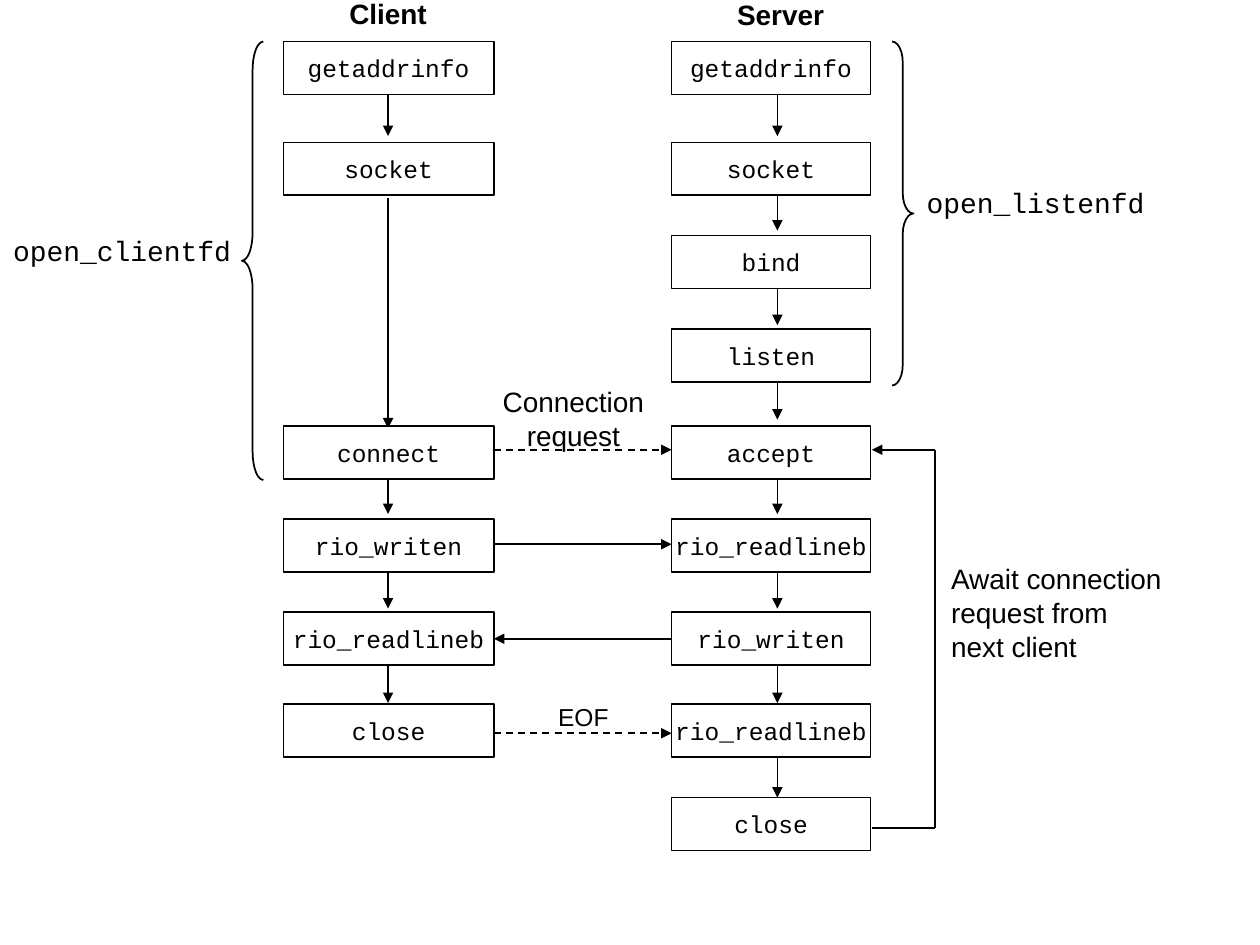
"""Build a slide showing the socket calls of a client and a server."""
from lxml import etree
from pptx import Presentation, util as u
from pptx.dml.color import RGBColor
from pptx.enum import dml, shapes, text
from pptx.oxml.ns import qn

COLORS = {"ink": "000000", "paper": "FFFFFF"}
SANS, MONO = "Arial", "Courier New"
CENTER, LEFT = text.PP_ALIGN.CENTER, text.PP_ALIGN.LEFT

ROW_TOPS = [0.33, 1.13, 1.87, 2.61, 3.38, 4.12, 4.86, 5.59, 6.33]
BOX_HEIGHT = 0.42
ARROW_PITCH, ARROW_LENGTH = 0.75, 0.33
COLUMNS = [
    {"left": 2.25, "width": 1.67, "axis": 3.08, "arrow_rows": [0, 4, 5, 6],
     "calls": {0: "getaddrinfo", 1: "socket", 4: "connect", 5: "rio_writen",
               6: "rio_readlineb", 7: "close"}},
    {"left": 5.33, "width": 1.58, "axis": 6.17, "arrow_rows": range(8),
     "calls": dict(enumerate(["getaddrinfo", "socket", "bind", "listen", "accept",
                              "rio_readlineb", "rio_writen", "rio_readlineb", "close"]))},
]
LINKS = [
    ((3.08, 1.57), (3.08, 3.4), {}),
    ((3.92, 3.57), (5.33, 3.57), {"dashed": True}),
    ((3.92, 4.32), (5.33, 4.32), {}),
    ((5.33, 5.07), (3.92, 5.07), {}),
    ((3.92, 5.82), (5.33, 5.82), {"dashed": True}),
    ((6.92, 6.57), (7.42, 6.57), {"arrow": False}),
    ((7.42, 6.57), (7.42, 3.57), {"arrow": False}),
    ((7.42, 3.57), (6.92, 3.57), {}),
]
BRACES = [
    (shapes.MSO_SHAPE.LEFT_BRACE, (1.92, 0.33, 0.17, 3.48), 1.333),
    (shapes.MSO_SHAPE.RIGHT_BRACE, (7.08, 0.33, 0.17, 2.73), 0.958),
]
LABELS = [
    (["Client"], (2.67, -0.08, 0.82, 0.37), {"bold": True}),
    (["Server"], (5.75, -0.07, 0.89, 0.37), {"bold": True}),
    (["Connection", "request"], (3.89, 3, 1.32, 0.64), {}),
    (["EOF"], (4.33, 5.52, 0.6, 0.33), {"size": 14}),
    (["Await connection", "request from", "next client"],
     (7.45, 4.41, 1.88, 0.9), {"align": LEFT}),
    (["open_listenfd"], (7.25, 1.42, 1.94, 0.37), {"font": MONO}),
    (["open_clientfd"], (0, 1.8, 1.94, 0.37), {"font": MONO}),
]


def color(name):
    return RGBColor.from_string(COLORS[name])


def write(shape, lines, size=16, font=SANS, bold=False, align=CENTER):
    frame = shape.text_frame
    frame.word_wrap = False
    frame.vertical_anchor = text.MSO_ANCHOR.MIDDLE
    frame.text = "\n".join(lines)
    for paragraph in frame.paragraphs:
        paragraph.alignment = align
        paragraph.font.size = u.Pt(size)
        paragraph.font.name = font
        paragraph.font.bold = bold
        paragraph.font.color.rgb = color("ink")


def outline(shape):
    shape.line.color.rgb = color("ink")
    shape.line.width = u.Pt(1)


def add_outlined(slide, kind, place):
    shape = slide.shapes.add_shape(kind, *map(u.Inches, place))
    shape.shadow.inherit = False
    outline(shape)
    return shape


def add_line(slide, start, end, arrow=True, dashed=False):
    line = slide.shapes.add_connector(
        shapes.MSO_CONNECTOR.STRAIGHT, *map(u.Inches, (*start, *end)))
    outline(line)
    if dashed:
        line.line.dash_style = dml.MSO_LINE.DASH
    properties = line.line._get_or_add_ln()
    if arrow:
        etree.SubElement(properties, qn("a:tailEnd"), type="triangle")
    etree.SubElement(properties.getparent(), qn("a:effectLst"))


def add_column(slide, column):
    for row in column["arrow_rows"]:
        top = ARROW_PITCH * (row + 1)
        add_line(slide, (column["axis"], top), (column["axis"], top + ARROW_LENGTH))
    for row, call in column["calls"].items():
        place = (column["left"], ROW_TOPS[row], column["width"], BOX_HEIGHT)
        box = add_outlined(slide, shapes.MSO_SHAPE.RECTANGLE, place)
        box.fill.solid()
        box.fill.fore_color.rgb = color("paper")
        write(box, [call], size=14, font=MONO)


def main():
    presentation = Presentation()
    presentation.slide_width, presentation.slide_height = u.Inches(10), u.Inches(7.5)
    slide = presentation.slides.add_slide(presentation.slide_layouts[6])
    for start, end, style in LINKS:
        add_line(slide, start, end, **style)
    for column in COLUMNS:
        add_column(slide, column)
    for kind, place, curve in BRACES:
        brace = add_outlined(slide, kind, place)
        brace.fill.background()
        brace.adjustments[0] = curve
    for lines, place, style in LABELS:
        label = slide.shapes.add_textbox(*map(u.Inches, place))
        write(label, lines, **style)
        label.text_frame.auto_size = text.MSO_AUTO_SIZE.SHAPE_TO_FIT_TEXT
    presentation.save("out.pptx")


if __name__ == "__main__":
    main()
